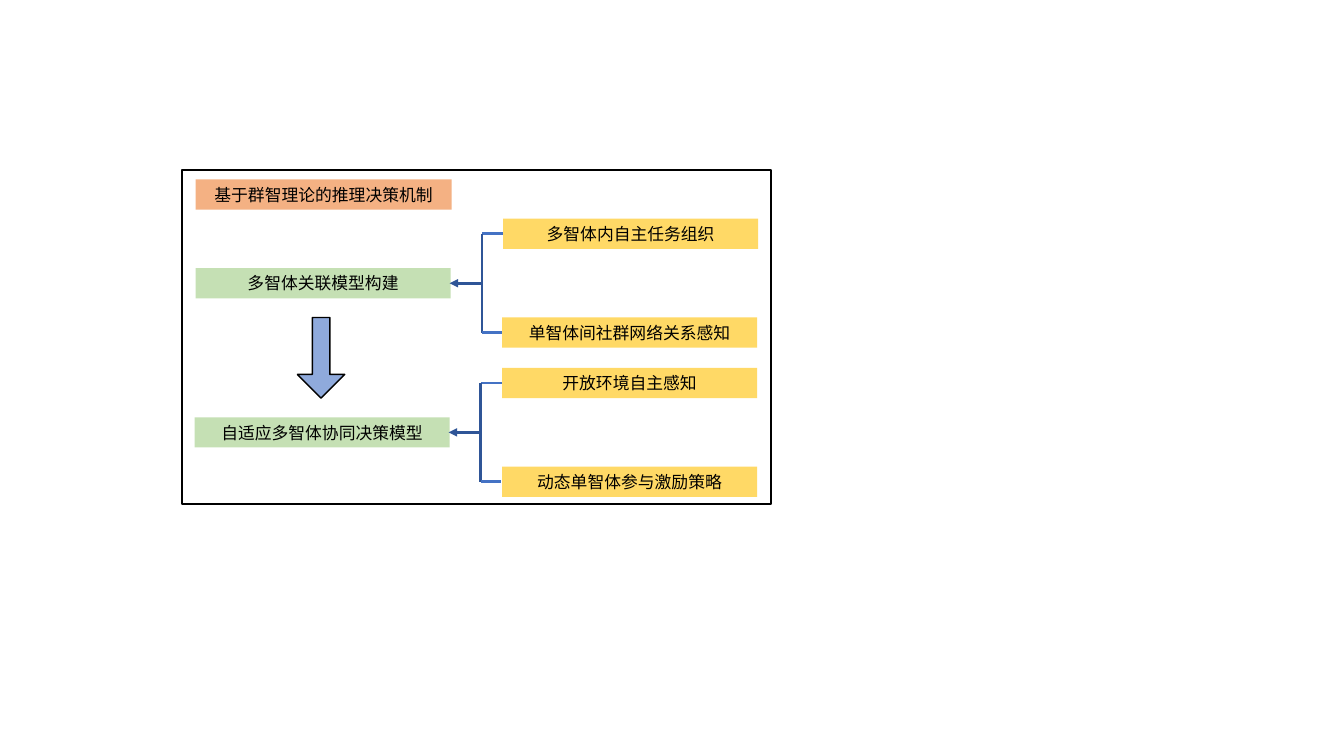
from dataclasses import dataclass

from lxml import etree
from pptx import Presentation
from pptx.dml.color import RGBColor
from pptx.enum.shapes import MSO_CONNECTOR, MSO_SHAPE
from pptx.enum.text import MSO_ANCHOR, MSO_AUTO_SIZE, PP_ALIGN
from pptx.oxml.ns import qn
from pptx.util import Inches, Pt

RECTANGLE = MSO_SHAPE.RECTANGLE
DOWN_ARROW = MSO_SHAPE.DOWN_ARROW
STRAIGHT = MSO_CONNECTOR.STRAIGHT
CENTER = PP_ALIGN.CENTER
MIDDLE = MSO_ANCHOR.MIDDLE
GROW = MSO_AUTO_SIZE.SHAPE_TO_FIT_TEXT


@dataclass(frozen=True)
class Theme:
    font: str = "Calibri"
    text_size: float = 12
    ink: str = "000000"
    heading: str = "F4B183"
    model: str = "C5E0B4"
    factor: str = "FFD966"
    flow: str = "8FAADC"
    branch: str = "4472C4"
    trunk: str = "2F5597"
    frame_line: float = 1.5
    flow_line: float = 1
    bracket_line: float = 2


class Diagram:
    """Draws styled elements on one slide."""

    def __init__(self, page, theme):
        self.page = page
        self.theme = theme

    def shape(self, kind, left, top, width, height, fill=None, line=None):
        shape = self.page.shapes.add_shape(
            kind, Inches(left), Inches(top), Inches(width), Inches(height))
        shape.shadow.inherit = False
        if fill:
            shape.fill.solid()
            shape.fill.fore_color.rgb = RGBColor.from_string(fill)
        else:
            shape.fill.background()
        if line:
            shape.line.color.rgb = RGBColor.from_string(self.theme.ink)
            shape.line.width = Pt(line)
        else:
            shape.line.fill.background()
        return shape

    def label(self, text, left, top, fill, width=2.53):
        box = self.shape(RECTANGLE, left, top, width, LABEL_HEIGHT, fill)
        frame = box.text_frame
        frame.word_wrap = True
        frame.auto_size = GROW
        frame.vertical_anchor = MIDDLE
        para = frame.paragraphs[0]
        para.text = text
        para.alignment = CENTER
        para.font.name = self.theme.font
        para.font.size = Pt(self.theme.text_size)
        para.font.color.rgb = RGBColor.from_string(self.theme.ink)

    def line(self, group, start, end, color, arrow=False):
        line = group.shapes.add_connector(
            STRAIGHT, *(Inches(value) for value in (*start, *end)))
        line.line.color.rgb = RGBColor.from_string(color)
        line.line.width = Pt(self.theme.bracket_line)
        if arrow:
            etree.SubElement(line.line._get_or_add_ln(), qn("a:tailEnd"), type="triangle")
        etree.SubElement(line._element.spPr, qn("a:effectLst"))

    def bracket(self, spine, top):
        """Joins two factors on the right and points at the model on the left."""
        group = self.page.shapes.add_group_shape()
        middle, bottom = top + FACTOR_GAP / 2, top + FACTOR_GAP
        branch, trunk = self.theme.branch, self.theme.trunk
        self.line(group, (spine + 0.21, top), (spine, top), branch)
        self.line(group, (spine, top), (spine, bottom), trunk)
        self.line(group, (spine, bottom), (spine + 0.2, bottom), branch)
        self.line(group, (spine, middle), (spine - 0.32, middle), trunk, arrow=True)


LABEL_HEIGHT = 0.3
FACTOR_GAP = 0.98

# Each stage: model, its two factors, left edges of all three, spine, top
STAGES = [
    ("多智体关联模型构建", ("多智体内自主任务组织", "单智体间社群网络关系感知"),
     1.94, (4.99, 4.98), 4.78, 2.17),
    ("自适应多智体协同决策模型", ("开放环境自主感知", "动态单智体参与激励策略"),
     1.93, (4.98, 4.98), 4.77, 3.65),
]

deck = Presentation()
deck.slide_width = Inches(13.33)
deck.slide_height = Inches(7.5)
theme = Theme()
diagram = Diagram(deck.slides.add_slide(deck.slide_layouts[6]), theme)

# Frame and heading
diagram.shape(RECTANGLE, 1.81, 1.69, 5.84, 3.31, line=theme.frame_line)
diagram.label("基于群智理论的推理决策机制", 1.94, 1.78, theme.heading, width=2.54)

# Models with their factors
for model, factors, model_left, factor_lefts, spine, top in STAGES:
    diagram.label(model, model_left, top + FACTOR_GAP / 2, theme.model)
    for row, (factor, left) in enumerate(zip(factors, factor_lefts)):
        diagram.label(factor, left, top + row * FACTOR_GAP, theme.factor)
    diagram.bracket(spine, top + LABEL_HEIGHT / 2)

# Flow from the first model to the second
flow = diagram.shape(DOWN_ARROW, 2.95, 3.15, 0.47, 0.8, theme.flow, theme.flow_line)
flow.adjustments[0] = 0.37
flow.adjustments[1] = 0.5

deck.save("out.pptx")
